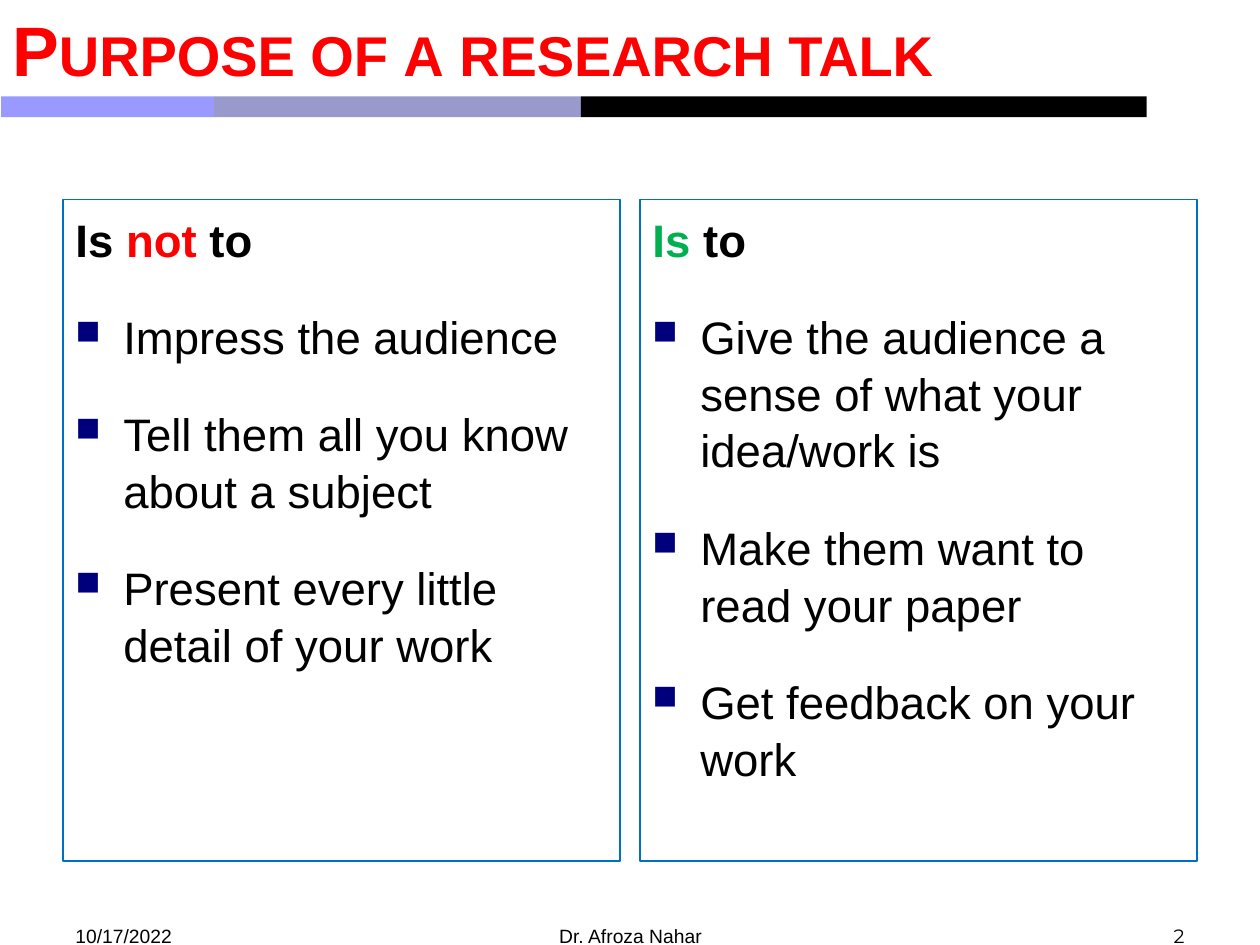
import pptx
import pptx.dml.color
import pptx.enum.shapes
import pptx.enum.text
import pptx.oxml
import pptx.oxml.ns
import pptx.util

RGB = pptx.dml.color.RGBColor
ALIGN = pptx.enum.text.PP_ALIGN
ANCHOR = pptx.enum.text.MSO_ANCHOR
RECTANGLE = pptx.enum.shapes.MSO_SHAPE.RECTANGLE

BLACK = RGB(0x00, 0x00, 0x00)
RED = RGB(0xFF, 0x00, 0x00)
GREEN = RGB(0x00, 0xB0, 0x50)
BLUE = RGB(0x00, 0x70, 0xC0)
PERIWINKLE = RGB(0x99, 0x99, 0xFF)
LAVENDER = RGB(0x99, 0x99, 0xCC)
NAVY = RGB(0x00, 0x00, 0x7D)


class TalkSlide:
    font = "Arial"
    title_size = 40
    body_size = 26
    footer_size = 11
    hanging = pptx.util.Inches(0.38)

    def __init__(self, presentation):
        self.width = presentation.slide_width
        self.height = presentation.slide_height
        self.slide = presentation.slides.add_slide(presentation.slide_layouts[6])

    def place(self, left, top, width, height):
        return [
            round(left * self.width),
            round(top * self.height),
            round(width * self.width),
            round(height * self.height),
        ]

    def add_run(self, paragraph, text, size, color=BLACK, bold=False, font=None):
        run = paragraph.add_run()
        run.text = text
        run.font.name = font or self.font
        run.font.size = pptx.util.Pt(size)
        run.font.bold = bold
        run.font.color.rgb = color
        return run

    def add_rectangle(self, area):
        shape = self.slide.shapes.add_shape(RECTANGLE, *self.place(*area))
        shape.shadow.inherit = False
        return shape

    def add_bar(self, left, right, color):
        shape = self.add_rectangle((left, 0.102, right - left, 0.022))
        shape.fill.solid()
        shape.fill.fore_color.rgb = color
        shape.line.fill.background()

    def add_text(self, area, anchor, align=ALIGN.LEFT):
        frame = self.slide.shapes.add_textbox(*self.place(*area)).text_frame
        frame.word_wrap = True
        frame.vertical_anchor = anchor
        paragraph = frame.paragraphs[0]
        paragraph.alignment = align
        return paragraph

    def add_title(self, text):
        paragraph = self.add_text((0, 0, 0.91, 0.102), ANCHOR.MIDDLE)
        run = self.add_run(paragraph, text, self.title_size, RED, True)
        run.font._element.set("cap", "small")

    def add_footer(self, left, width, text, align, font=None):
        paragraph = self.add_text((left, 0.956, width, 0.053), ANCHOR.BOTTOM, align)
        self.add_run(paragraph, text, self.footer_size, font=font)

    def add_bullet(self, paragraph):
        properties = paragraph._p.get_or_add_pPr()
        properties.set("marL", str(self.hanging))
        properties.set("indent", str(-self.hanging))
        namespace = pptx.oxml.ns.nsdecls("a")
        for markup in (
            f'<a:buClr {namespace}><a:srgbClr val="{NAVY}"/></a:buClr>',
            f'<a:buSzPct {namespace} val="75000"/>',
            f'<a:buChar {namespace} char="■"/>',
        ):
            properties.append(pptx.oxml.parse_xml(markup))

    def add_panel(self, left, heading, points):
        shape = self.add_rectangle((left, 0.211, 0.442, 0.7))
        shape.fill.background()
        shape.line.color.rgb = BLUE
        shape.line.width = pptx.util.Pt(0.75)
        frame = shape.text_frame
        frame.word_wrap = True
        frame.vertical_anchor = ANCHOR.TOP
        frame.margin_top = pptx.util.Inches(0.08)
        paragraph = frame.paragraphs[0]
        self.space(paragraph)
        for text, color in heading:
            self.add_run(paragraph, text, self.body_size, color, True)
        for point in points:
            paragraph = frame.add_paragraph()
            self.space(paragraph, 0.2 * self.body_size)
            self.add_bullet(paragraph)
            self.add_run(paragraph, point, self.body_size)

    def space(self, paragraph, before=0):
        paragraph.alignment = ALIGN.LEFT
        paragraph.line_spacing = 1.04
        paragraph.space_before = pptx.util.Pt(before)
        paragraph.space_after = pptx.util.Pt(18)


def main():
    presentation = pptx.Presentation()
    presentation.slide_width = pptx.util.Inches(10)
    presentation.slide_height = pptx.util.Inches(7.5)
    talk = TalkSlide(presentation)

    edges = [0.001, 0.17, 0.461, 0.91]
    for left, right, color in zip(edges, edges[1:], [PERIWINKLE, LAVENDER, BLACK]):
        talk.add_bar(left, right, color)
    talk.add_title("Purpose of a research talk")

    talk.add_footer(0.05, 0.233, "10/17/2022", ALIGN.LEFT)
    talk.add_footer(0.342, 0.317, "Dr. Afroza Nahar", ALIGN.CENTER)
    talk.add_footer(0.717, 0.233, "2", ALIGN.RIGHT, "Montserrat")

    talk.add_panel(
        0.05,
        [("Is ", BLACK), ("not", RED), (" to", BLACK)],
        [
            "Impress the audience",
            "Tell them all you know about a subject",
            "Present every little detail of your work",
        ],
    )
    talk.add_panel(
        0.508,
        [("Is ", GREEN), ("to", BLACK)],
        [
            "Give the audience a sense of what your idea/work is",
            "Make them want to read your paper",
            "Get feedback on your work",
        ],
    )
    presentation.save("out.pptx")


if __name__ == "__main__":
    main()
